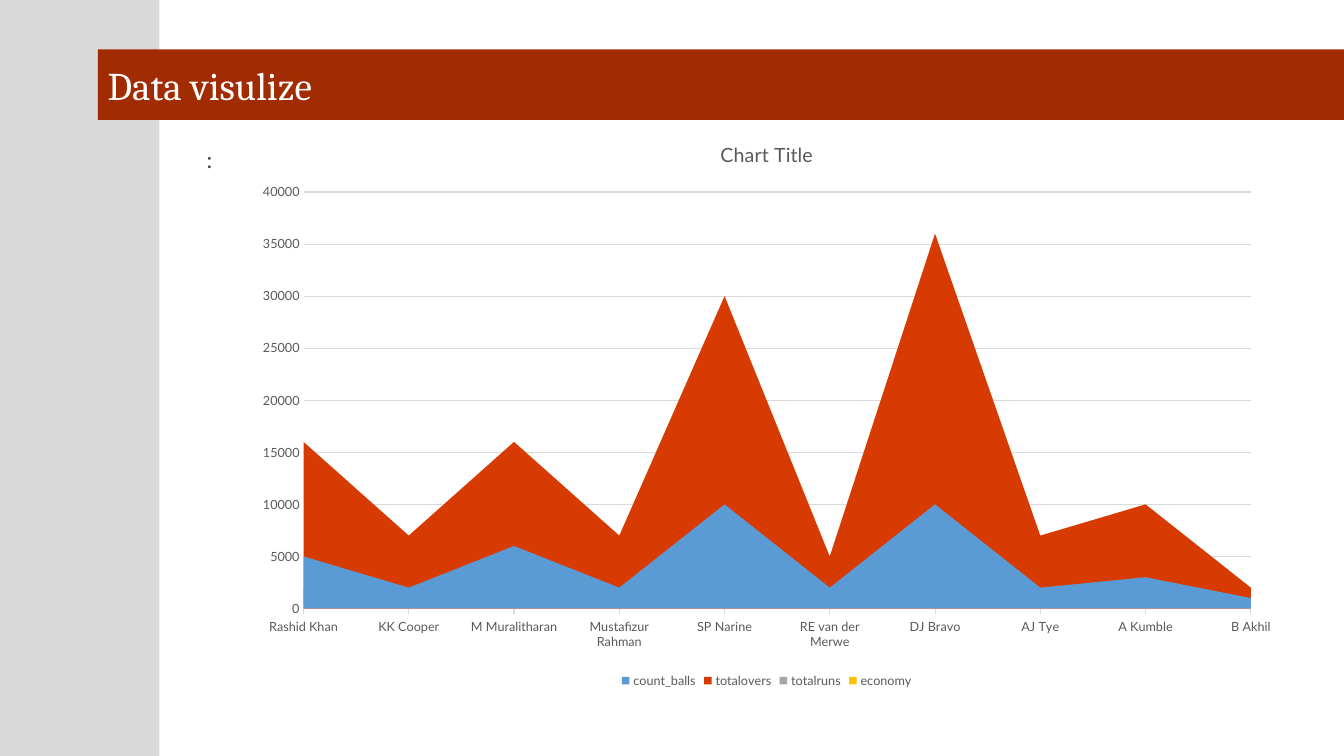
"""Build the bowler statistics slide with its area chart."""
from dataclasses import dataclass

from pptx import Presentation
from pptx import util as u
from pptx.chart import data as chart_data
from pptx.dml.color import RGBColor
from pptx.enum import chart as chart_enum, shapes, text

WHITE = RGBColor(0xFF, 0xFF, 0xFF)
LIGHT_GRAY = RGBColor(0xD9, 0xD9, 0xD9)
RUST = RGBColor(0xA2, 0x2C, 0x01)
DARK_GRAY = RGBColor(0x40, 0x40, 0x40)
LABEL_GRAY = RGBColor(0x59, 0x59, 0x59)
BLUE = RGBColor(0x5B, 0x9B, 0xD5)
ORANGE = RGBColor(0xD8, 0x3B, 0x01)
GRAY = RGBColor(0xA5, 0xA5, 0xA5)
GOLD = RGBColor(0xFF, 0xC0, 0x00)
HEADING_FONT = "Cambria"
BODY_FONT = "Lato"


@dataclass(frozen=True)
class Box:
    left: float
    top: float
    width: float
    height: float

    def lengths(self) -> tuple:
        return tuple(u.Inches(n) for n in (self.left, self.top, self.width, self.height))


@dataclass(frozen=True)
class Panel:
    box: Box
    color: RGBColor


@dataclass(frozen=True)
class Statistic:
    name: str
    values: tuple
    color: RGBColor


SIDEBAR = Panel(Box(0, 0, 1.58, 7.5), LIGHT_GRAY)
BANNER = Panel(Box(0.97, 0.49, 12.37, 0.7), RUST)
NOTE_BOX = Box(1.95, 1.38, 5.91, 1.62)
CHART_BOX = Box(2.4, 1.19, 10.41, 5.68)
BOWLERS = (
    "Rashid Khan", "KK Cooper", "M Muralitharan", "Mustafizur Rahman", "SP Narine",
    "RE van der Merwe", "DJ Bravo", "AJ Tye", "A Kumble", "B Akhil",
)
STATISTICS = (
    Statistic("count_balls",
              (5000, 2000, 6000, 2000, 10000, 2000, 10000, 2000, 3000, 1000), BLUE),
    Statistic("totalovers",
              (16000, 7000, 16000, 7000, 30000, 5000, 36000, 7000, 10000, 2000), ORANGE),
    Statistic("totalruns",
              (2000, 1000, 2000, 1000, 3000, 1000, 4000, 1000, 1000, 0), GRAY),
    Statistic("economy", (0,) * len(BOWLERS), GOLD),
)


def style_font(font, size: float, color: RGBColor, name: str = BODY_FONT) -> None:
    font.name = name
    font.size = u.Pt(size)
    font.bold = False
    font.color.rgb = color


def style_line(line, color: RGBColor) -> None:
    line.color.rgb = color
    line.width = u.Pt(0.75)


def add_panel(slide, panel: Panel):
    rectangle = slide.shapes.add_shape(shapes.MSO_SHAPE.RECTANGLE, *panel.box.lengths())
    rectangle.shadow.inherit = False
    rectangle.fill.solid()
    rectangle.fill.fore_color.rgb = panel.color
    rectangle.line.fill.background()
    return rectangle


def add_run(paragraph, words: str, size: float, color: RGBColor, font_name: str) -> None:
    run = paragraph.add_run()
    run.text = words
    style_font(run.font, size, color, font_name)


def add_heading(slide) -> None:
    frame = add_panel(slide, BANNER).text_frame
    frame.word_wrap = True
    frame.vertical_anchor = text.MSO_ANCHOR.MIDDLE
    heading = frame.paragraphs[0]
    heading.alignment = text.PP_ALIGN.LEFT
    add_run(heading, "Data visulize", 28, WHITE, HEADING_FONT)


def add_note(slide) -> None:
    frame = slide.shapes.add_textbox(*NOTE_BOX.lengths()).text_frame
    frame.word_wrap = True
    note = frame.paragraphs[0]
    note.line_spacing = 1.08
    add_run(note, ":", 16, DARK_GRAY, BODY_FONT)


def style_axes(chart) -> None:
    bowler_axis, count_axis = chart.category_axis, chart.value_axis
    for axis in (bowler_axis, count_axis):
        style_font(axis.tick_labels.font, 9, LABEL_GRAY)
        axis.minor_tick_mark = chart_enum.XL_TICK_MARK.NONE
    bowler_axis.has_major_gridlines = False
    bowler_axis.major_tick_mark = chart_enum.XL_TICK_MARK.OUTSIDE
    style_line(bowler_axis.format.line, LIGHT_GRAY)
    count_axis.major_tick_mark = chart_enum.XL_TICK_MARK.NONE
    count_axis.minimum_scale, count_axis.maximum_scale = 0, 40000
    count_axis.major_unit = 5000
    count_axis.format.line.fill.background()
    style_line(count_axis.major_gridlines.format.line, LIGHT_GRAY)
    for crossing in chart.element.xpath(".//c:valAx/c:crossBetween"):
        crossing.set("val", "midCat")


def add_bowling_chart(slide) -> None:
    figures = chart_data.CategoryChartData(number_format="General")
    figures.categories = BOWLERS
    for statistic in STATISTICS:
        figures.add_series(statistic.name, statistic.values)
    chart = slide.shapes.add_chart(
        chart_enum.XL_CHART_TYPE.AREA, *CHART_BOX.lengths(), figures
    ).chart
    chart.font.name = BODY_FONT
    chart.font.size = u.Pt(10)
    chart.has_title = True
    chart.chart_title.include_in_layout = False
    add_run(chart.chart_title.text_frame.paragraphs[0], "Chart Title", 14, LABEL_GRAY, BODY_FONT)
    chart.has_legend = True
    chart.legend.position = chart_enum.XL_LEGEND_POSITION.BOTTOM
    chart.legend.include_in_layout = False
    style_font(chart.legend.font, 9, LABEL_GRAY)
    chart.plots[0].vary_by_categories = False
    for area, statistic in zip(chart.plots[0].series, STATISTICS):
        area.format.fill.solid()
        area.format.fill.fore_color.rgb = statistic.color
        area.format.line.fill.background()
    style_axes(chart)


def main() -> None:
    deck = Presentation()
    deck.slide_width, deck.slide_height = u.Inches(13.33), u.Inches(7.5)
    slide = deck.slides.add_slide(deck.slide_layouts[6])
    add_panel(slide, SIDEBAR)
    add_heading(slide)
    add_note(slide)
    add_bowling_chart(slide)
    deck.save("out.pptx")


if __name__ == "__main__":
    main()
